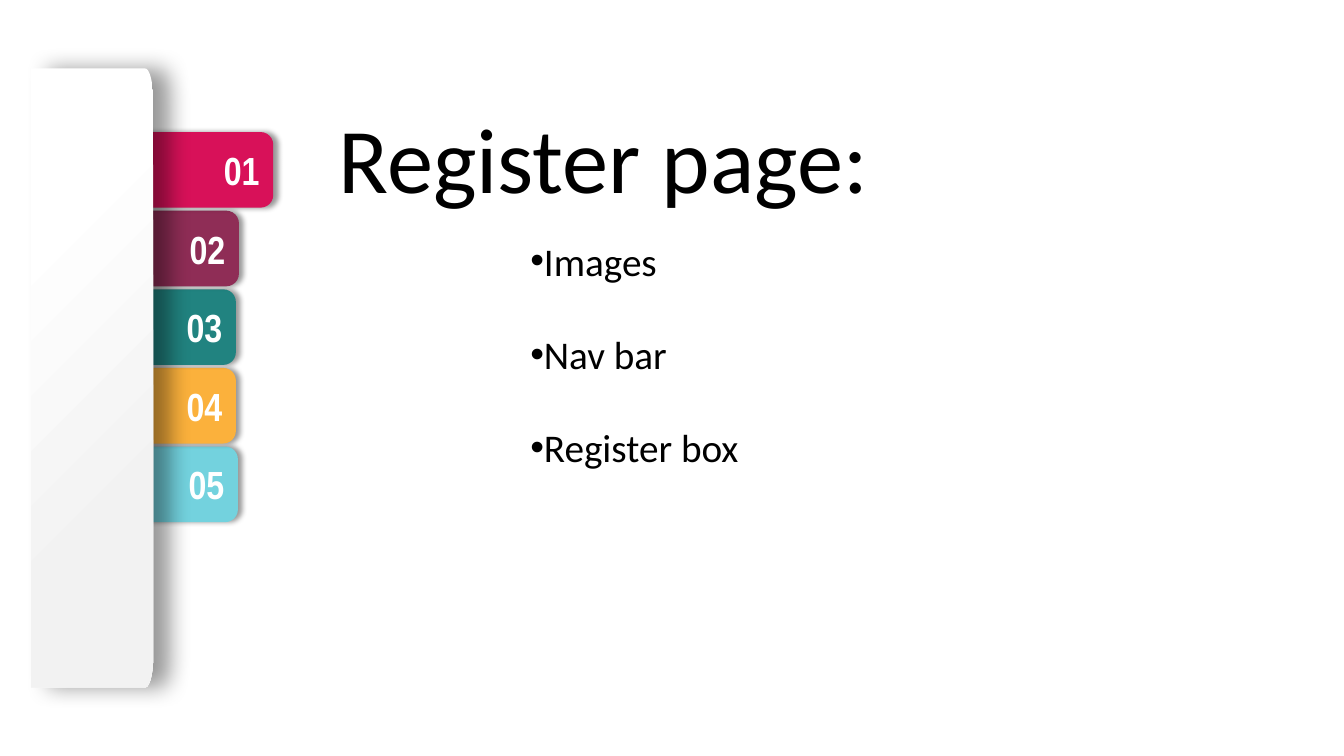
from dataclasses import dataclass
from math import cos, pi, sin

from lxml import etree
from pptx import Presentation
from pptx.dml.color import RGBColor
from pptx.enum.shapes import MSO_SHAPE
from pptx.enum.text import MSO_ANCHOR, MSO_AUTO_SIZE, PP_ALIGN
from pptx.oxml.ns import qn
from pptx.shapes.base import BaseShape
from pptx.slide import Slide
from pptx.util import Inches, Pt

ROUNDED = MSO_SHAPE.ROUNDED_RECTANGLE
MIDDLE, TOP = MSO_ANCHOR.MIDDLE, MSO_ANCHOR.TOP
LEFT, RIGHT = PP_ALIGN.LEFT, PP_ALIGN.RIGHT
NO_AUTOFIT = MSO_AUTO_SIZE.NONE

BLACK = RGBColor(0x00, 0x00, 0x00)
WHITE = RGBColor(0xFF, 0xFF, 0xFF)
PALE_GREY = RGBColor(0xF2, 0xF2, 0xF2)
CRIMSON = RGBColor(0xD8, 0x11, 0x59)
PLUM = RGBColor(0x8F, 0x2D, 0x56)
TEAL = RGBColor(0x21, 0x83, 0x80)
AMBER = RGBColor(0xFB, 0xB1, 0x3C)
AQUA = RGBColor(0x73, 0xD2, 0xDE)

TAB_TOP, TAB_PITCH, TAB_HEIGHT = 1.31, 0.78, 0.75


@dataclass(frozen=True)
class Tab:
    label: str
    left: float
    width: float
    color: RGBColor


TABS = [
    Tab("01", 0.54, 2.17, CRIMSON),
    Tab("02", 0.74, 1.63, PLUM),
    Tab("03", 0.71, 1.63, TEAL),
    Tab("04", 0.71, 1.63, AMBER),
    Tab("05", 0.73, 1.63, AQUA),
]
FEATURES = ["Images", "Nav bar", "Register box"]


def add_right_shadow(shape: BaseShape, blur: float, distance: float) -> None:
    """Cast a 40 % black shadow to the right; lengths in points."""
    shape.shadow.inherit = False
    effects = shape._element.spPr.find(qn("a:effectLst"))
    shadow = etree.SubElement(effects, qn("a:outerShdw"), blurRad=str(Pt(blur)),
                              dist=str(Pt(distance)), dir="0", algn="l", rotWithShape="0")
    color = etree.SubElement(shadow, qn("a:srgbClr"), val=str(BLACK))
    etree.SubElement(color, qn("a:alpha"), val="40000")


def add_tab(slide: Slide, tab: Tab, top: float) -> None:
    shape = slide.shapes.add_shape(ROUNDED, Inches(tab.left), Inches(top),
                                   Inches(tab.width), Inches(TAB_HEIGHT))
    shape.fill.solid()
    shape.fill.fore_color.rgb = tab.color
    shape.line.fill.background()
    add_right_shadow(shape, 4, 3)
    shape.text_frame.vertical_anchor = MIDDLE
    paragraph = shape.text_frame.paragraphs[0]
    paragraph.text = tab.label
    paragraph.alignment = RIGHT
    font = paragraph.font
    font.name, font.size, font.bold = "Arial Narrow", Pt(28), True
    font.color.rgb = WHITE


def add_spine(slide: Slide) -> None:
    """Draw the panel whose right corners are quarter ellipses."""
    left, top, bottom = 0.31, 0.68, 6.82
    center_x, radius_x, radius_y, steps = 1.44, 0.08, 0.31, 16
    angles = [pi / 2 * step / steps for step in range(steps + 1)]
    upper = [(center_x + radius_x * sin(angle), top + radius_y * (1 - cos(angle)))
             for angle in angles]
    lower = [(x, top + bottom - y) for x, y in reversed(upper)]
    outline = [(Inches(x), Inches(y)) for x, y in upper + lower + [(left, bottom)]]
    builder = slide.shapes.build_freeform(Inches(left), Inches(top))
    builder.add_line_segments(outline, close=True)
    spine = builder.convert_to_shape()
    spine.fill.gradient()
    spine.fill.gradient_angle = 315
    stops = spine.fill.gradient_stops
    for stop, position, color in zip(stops, (0.22, 0.74), (WHITE, PALE_GREY)):
        stop.position = position
        stop.color.rgb = color
    spine.line.fill.background()
    add_right_shadow(spine, 16, 12)


def fill_placeholder(shape: BaseShape, box: tuple[float, float, float, float],
                     lines: list[str], size: float, gap: float = 0) -> None:
    shape.left, shape.top, shape.width, shape.height = map(Inches, box)
    frame = shape.text_frame
    frame.text = "\n".join(lines)
    frame.word_wrap = True
    frame.auto_size = NO_AUTOFIT
    frame.vertical_anchor = TOP
    for paragraph in frame.paragraphs:
        paragraph.alignment = LEFT
        paragraph.space_before, paragraph.space_after = Pt(0), Pt(gap)
        paragraph.font.name, paragraph.font.size = "Calibri", Pt(size)
        paragraph.font.color.rgb = BLACK
        properties = paragraph._p.get_or_add_pPr()
        properties.set("marL", "0")
        properties.set("indent", "0")


def main() -> None:
    presentation = Presentation()
    presentation.slide_width, presentation.slide_height = Inches(13.33), Inches(7.5)
    slide = presentation.slides.add_slide(presentation.slide_layouts[1])
    fill_placeholder(slide.shapes.title, (3.26, 0.95, 8.23, 1.21), ["Register page:"], 66)
    fill_placeholder(slide.placeholders[1], (5.16, 2.3, 5.72, 2.45), FEATURES, 28, gap=33)
    for index, tab in reversed(list(enumerate(TABS))):
        add_tab(slide, tab, TAB_TOP + index * TAB_PITCH)
    add_spine(slide)
    presentation.save("out.pptx")


if __name__ == "__main__":
    main()
